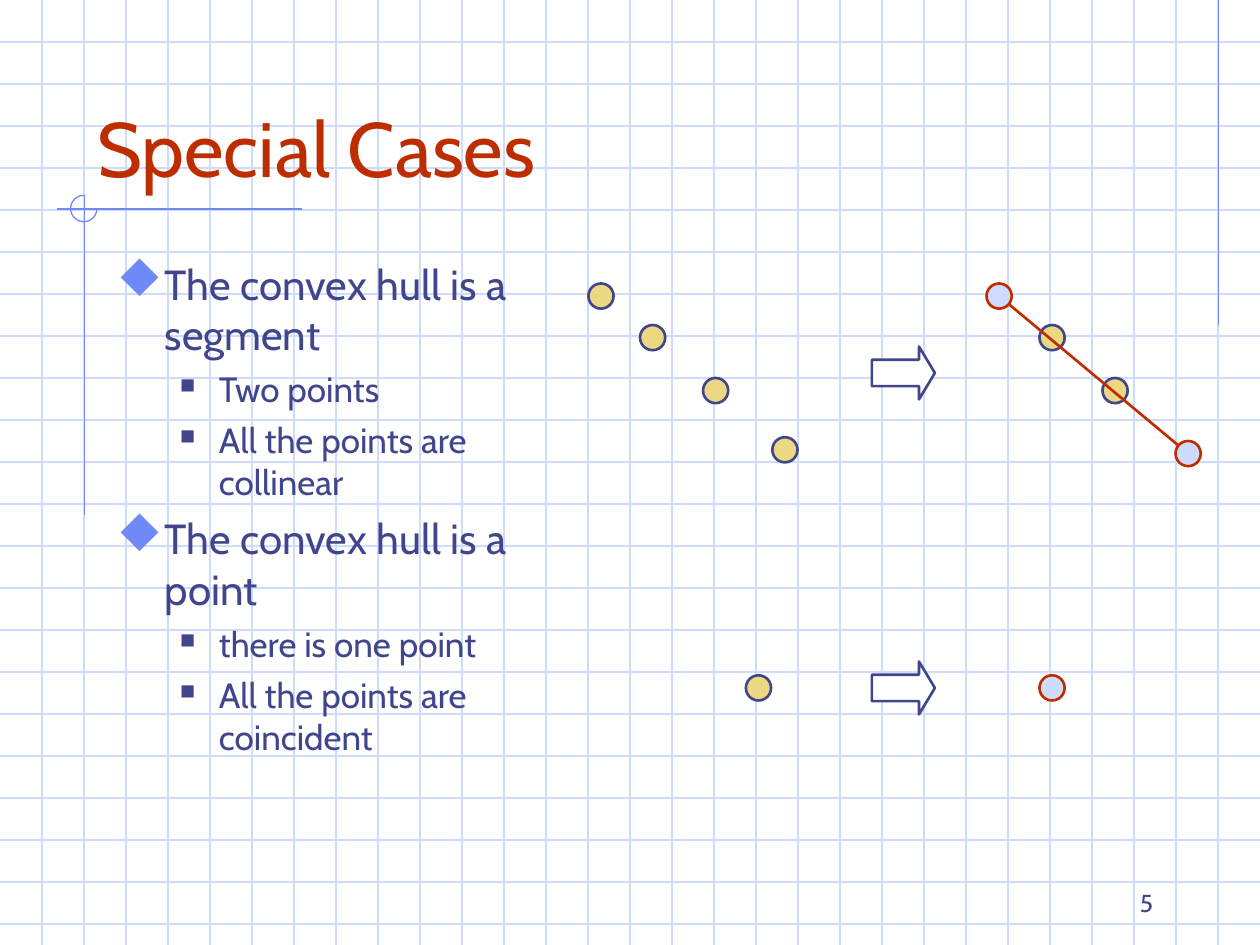
from dataclasses import dataclass

import lxml.etree
import pptx
import pptx.dml.color
import pptx.enum.shapes
import pptx.enum.text
import pptx.oxml.ns
import pptx.util

Inches = pptx.util.Inches
Pt = pptx.util.Pt
Shape = pptx.enum.shapes.MSO_SHAPE
Align = pptx.enum.text.PP_ALIGN
Anchor = pptx.enum.text.MSO_ANCHOR

FONT = "Cabin"
BULLET_FONT = "Wingdings"
DIAMOND, SQUARE = "u", "n"
NAVY, RED, BLUE = "40458C", "BE2D00", "6F89F7"
PALE, GOLD, WHITE = "CFDBFD", "ECD882", "FFFFFF"
WIDTH, HEIGHT = 10, 7.5
GRID_STEP = 1 / 3
DOT_SIZE = 0.2


@dataclass(frozen=True)
class Line:
    x1: float
    y1: float
    x2: float
    y2: float
    color: str = BLUE
    weight: float = 0.75


@dataclass(frozen=True)
class Dot:
    left: float
    top: float
    on_hull: bool = False


@dataclass(frozen=True)
class Level:
    size: float
    margin: float
    indent: float
    before: float
    bullet: str
    bullet_color: str
    bullet_percent: int


TOPIC = Level(24, 0.38, -0.38, 6, DIAMOND, BLUE, 110)
CASE = Level(20, 0.81, -0.31, 5, SQUARE, NAVY, 60)

BODY = [
    (TOPIC, "The convex hull is a segment"),
    (CASE, "Two points"),
    (CASE, "All the points are collinear"),
    (TOPIC, "The convex hull is a point"),
    (CASE, "there is one point"),
    (CASE, "All the points are coincident"),
]

FRAME_LINES = [
    Line(9.67, 0, 9.67, 2.58),
    Line(2.4, 1.66, 0.45, 1.66),
    Line(0.67, 1.55, 0.67, 4.09),
]
HULL_SEGMENT = Line(7.93, 2.35, 9.43, 3.6, RED, 1.5)
INNER_DOTS = [Dot(8.25, 2.58), Dot(8.75, 3)]
OTHER_DOTS = [
    Dot(9.33, 3.5, True),
    Dot(7.83, 2.25, True),
    Dot(8.25, 5.36, True),
    Dot(5.92, 5.36),
    Dot(4.67, 2.25),
    Dot(5.08, 2.58),
    Dot(5.58, 3),
    Dot(6.13, 3.47),
]
ARROW_TOPS = [5.25, 2.75]


def rgb(color: str) -> pptx.dml.color.RGBColor:
    return pptx.dml.color.RGBColor.from_string(color)


def draw_line(page, line: Line) -> None:
    connector = page.shapes.add_connector(
        pptx.enum.shapes.MSO_CONNECTOR.STRAIGHT,
        Inches(line.x1), Inches(line.y1), Inches(line.x2), Inches(line.y2))
    connector.line.color.rgb = rgb(line.color)
    connector.line.width = Pt(line.weight)
    properties = connector.element.spPr
    lxml.etree.SubElement(properties, pptx.oxml.ns.qn("a:effectLst"))


def draw_shape(page, kind, left: float, top: float, width: float, height: float,
               fill: str | None, line: str, weight: float = 1.5):
    shape = page.shapes.add_shape(
        kind, Inches(left), Inches(top), Inches(width), Inches(height))
    shape.shadow.inherit = False
    if fill is None:
        shape.fill.background()
    else:
        shape.fill.solid()
        shape.fill.fore_color.rgb = rgb(fill)
    shape.line.color.rgb = rgb(line)
    shape.line.width = Pt(weight)
    return shape


def draw_dot(page, dot: Dot) -> None:
    fill, line = (PALE, RED) if dot.on_hull else (GOLD, NAVY)
    draw_shape(page, Shape.OVAL, dot.left, dot.top, DOT_SIZE, DOT_SIZE, fill, line)


def draw_arrow(page, top: float) -> None:
    arrow = draw_shape(page, Shape.RIGHT_ARROW, 6.92, top, 0.5, 0.42, WHITE, NAVY)
    arrow.adjustments[0] = 0.5
    arrow.adjustments[1] = 0.3


def draw_background(page) -> None:
    for row in range(1, int(HEIGHT / GRID_STEP) + 1):
        draw_line(page, Line(0, row * GRID_STEP, WIDTH, row * GRID_STEP, PALE))
    for column in range(1, round(WIDTH / GRID_STEP)):
        draw_line(page, Line(column * GRID_STEP, 0, column * GRID_STEP, HEIGHT, PALE))
    for line in FRAME_LINES:
        draw_line(page, line)
    ring = draw_shape(page, Shape.ARC, 0.56, 1.55, 0.21, 0.21, None, BLUE, 0.75)
    ring.adjustments[0] = 0
    ring.adjustments[1] = 162


def write(para, text: str, *, size: float, color: str = NAVY, align=Align.LEFT) -> None:
    para.alignment = align
    span = para.add_run()
    span.text = text
    span.font.name = FONT
    span.font.size = Pt(size)
    span.font.color.rgb = rgb(color)


def set_bullet(para, level: Level) -> None:
    properties = para._p.get_or_add_pPr()
    properties.set("marL", str(Inches(level.margin)))
    properties.set("indent", str(Inches(level.indent)))
    qn = pptx.oxml.ns.qn
    color = lxml.etree.SubElement(properties, qn("a:buClr"))
    lxml.etree.SubElement(color, qn("a:srgbClr"), val=level.bullet_color)
    lxml.etree.SubElement(properties, qn("a:buSzPct"), val=str(level.bullet_percent * 1000))
    lxml.etree.SubElement(properties, qn("a:buFont"), typeface=BULLET_FONT,
                          pitchFamily="2", charset="2")
    lxml.etree.SubElement(properties, qn("a:buChar"), char=level.bullet)


def place(box, left: float, top: float, width: float, height: float, anchor):
    box.left, box.top = Inches(left), Inches(top)
    box.width, box.height = Inches(width), Inches(height)
    frame = box.text_frame
    frame.word_wrap = True
    frame.auto_size = pptx.enum.text.MSO_AUTO_SIZE.NONE
    frame.vertical_anchor = anchor
    return frame


def add_box(page, left: float, top: float, width: float, height: float, anchor):
    box = page.shapes.add_textbox(0, 0, 0, 0)
    return place(box, left, top, width, height, anchor)


def write_title(page) -> None:
    title = page.shapes.title
    page.shapes.element.append(title.element)
    frame = place(title, 0.67, 0.33, 8.5, 1.25, Anchor.BOTTOM)
    write(frame.paragraphs[0], "Special Cases", size=44, color=RED)


def write_body(page) -> None:
    frame = add_box(page, 0.83, 2, 3.67, 4.67, Anchor.TOP)
    for index, (level, text) in enumerate(BODY):
        para = frame.add_paragraph() if index else frame.paragraphs[0]
        set_bullet(para, level)
        para.space_before = Pt(level.before if index else 0)
        write(para, text, size=level.size)


def main() -> None:
    deck = pptx.Presentation()
    deck.slide_width, deck.slide_height = Inches(WIDTH), Inches(HEIGHT)
    page = deck.slides.add_slide(deck.slide_layouts.get_by_name("Title Only"))
    draw_background(page)
    for dot in INNER_DOTS:
        draw_dot(page, dot)
    draw_line(page, HULL_SEGMENT)
    for top in ARROW_TOPS:
        draw_arrow(page, top)
    write_title(page)
    write_body(page)
    for dot in OTHER_DOTS:
        draw_dot(page, dot)
    number = add_box(page, 7.17, 6.83, 2.08, 0.5, Anchor.BOTTOM)
    write(number.paragraphs[0], "5", size=14, align=Align.RIGHT)
    deck.save("out.pptx")


if __name__ == "__main__":
    main()
